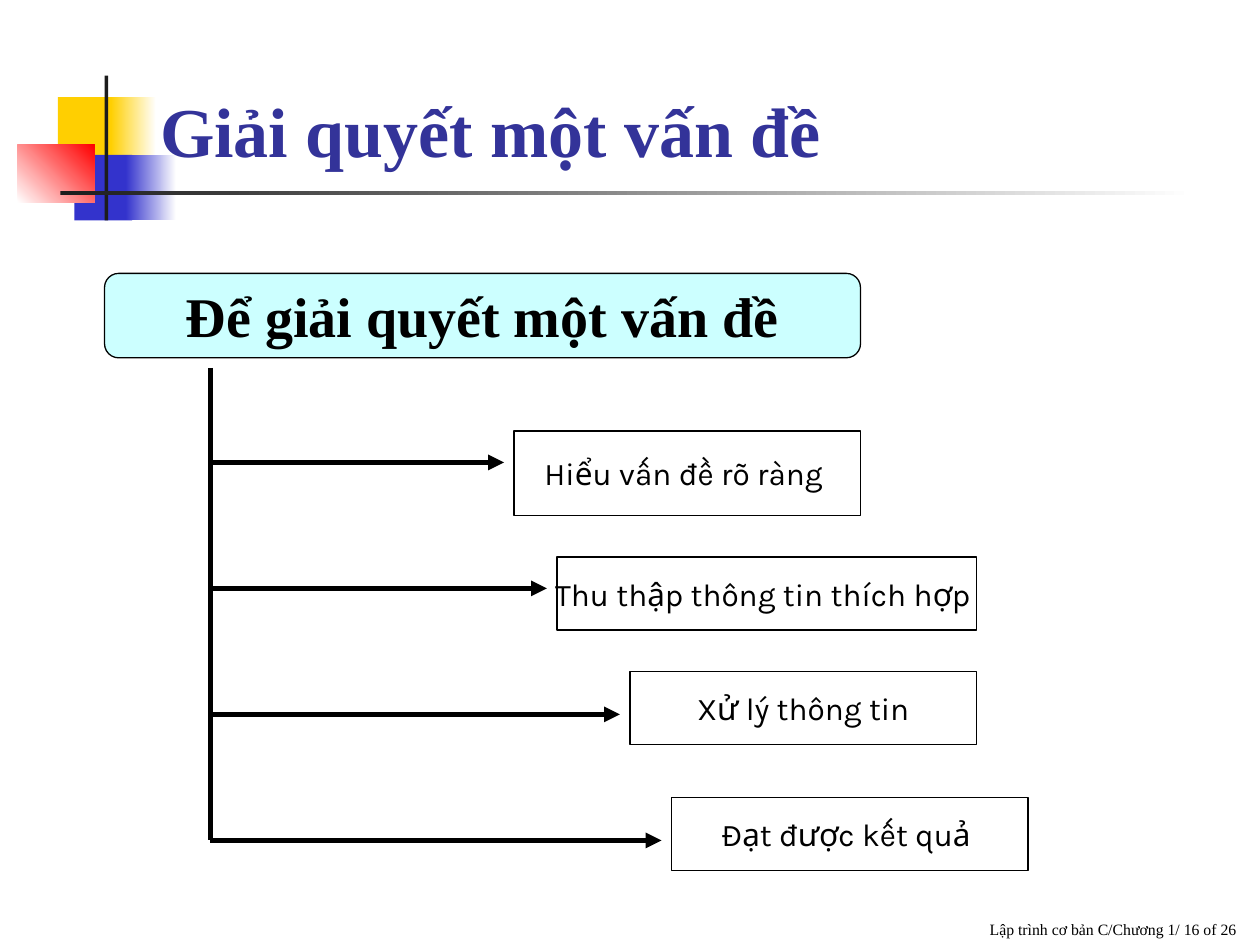
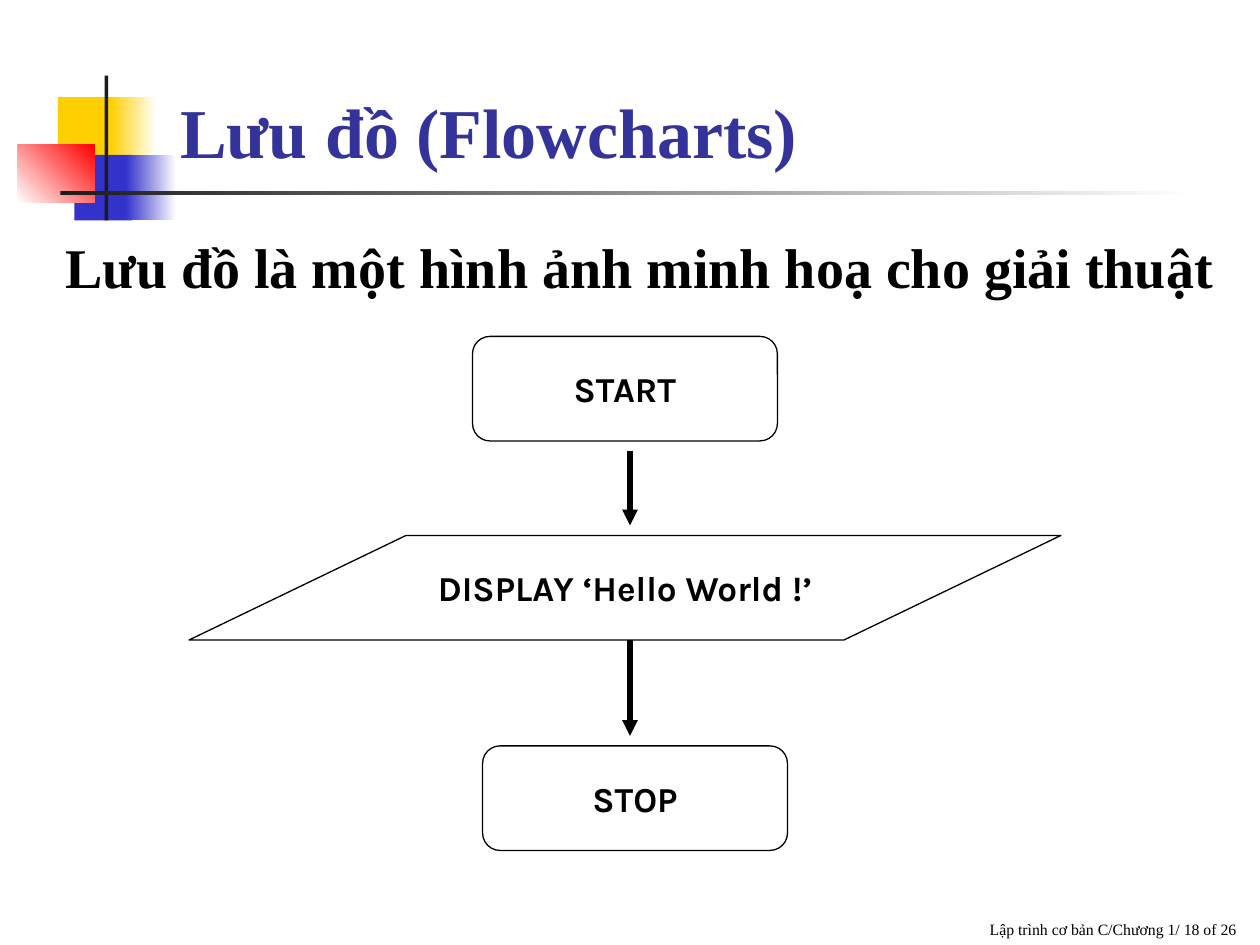
import pptx
import pptx.util
import pptx.dml.color
import pptx.enum.shapes
import pptx.enum.text
import pptx.oxml
import pptx.oxml.ns

Inches = pptx.util.Inches
Color = pptx.dml.color.RGBColor
Kind = pptx.enum.shapes.MSO_SHAPE
Align = pptx.enum.text.PP_ALIGN
Anchor = pptx.enum.text.MSO_ANCHOR

# Theme
BLACK = Color(0x00, 0x00, 0x00)
WHITE = Color(0xFF, 0xFF, 0xFF)
NAVY = Color(0x33, 0x33, 0x99)
BLUE = Color(0x33, 0x33, 0xCC)
GOLD = Color(0xFF, 0xCF, 0x01)
RED = Color(0xFF, 0x00, 0x00)
CYAN = Color(0xCC, 0xFF, 0xFF)
DARK = Color(0x1C, 0x1C, 0x1C)
SERIF = "Times New Roman"
SANS = "Karla"

# Corner motif: place, colours, angle of the blend
MOTIF = [
    ((0.46, 0.77, 0.48, 0.52), [GOLD], 0),
    ((0.88, 0.77, 0.36, 0.52), [GOLD, WHITE], 0),
    ((0.59, 1.23, 0.46, 0.52), [BLUE], 0),
    ((1.00, 1.23, 0.40, 0.52), [BLUE, WHITE], 0),
    ((0.14, 1.15, 0.61, 0.46), [WHITE, RED], 45),
    ((0.83, 0.60, 0.03, 1.15), [DARK], 0),
    ((0.48, 1.52, 9.00, 0.03), [DARK, WHITE], 0),
]
FOOTER = "Lập trình cơ bản C/Chương 1/ {} of 26"

# Slide 1: steps as text, left, top, width, height
SOLVE = "Giải quyết một vấn đề"
GOAL = "Ðể giải quyết một vấn đề"
STEPS = [
    ("Hiểu vấn đề rõ ràng ", 4.08, 3.42, 2.75, 0.67),
    ("Thu thập thông tin thích hợp ", 4.42, 4.42, 3.33, 0.58),
    ("Xử lý thông tin", 5.00, 5.33, 2.75, 0.58),
    ("Ðạt được kết quả ", 5.33, 6.33, 2.83, 0.58),
]
TRUNK, FIRST, PITCH, GAP = 1.67, 3.67, 1, 0.08

# Slide 2: nodes as text, kind, left, top, width, corner or slant
CHART = "Lưu đồ (Flowcharts)"
LEAD = "Lưu đồ là một hình ảnh minh hoạ cho giải thuật"
NODES = [
    ("START", Kind.ROUNDED_RECTANGLE, 3.75, 2.67, 2.42, 0.167),
    ("DISPLAY ‘Hello World !’", Kind.PARALLELOGRAM, 1.5, 4.25, 6.92, 2.075),
    ("STOP", Kind.ROUNDED_RECTANGLE, 3.83, 5.92, 2.42, 0.167),
]
NODE_H, AXIS = 0.83, 5


def write(shape, text, size, face, bold=False, color=BLACK,
          align=Align.LEFT, anchor=Anchor.TOP, wrap=True):
    frame = shape.text_frame
    frame.auto_size = pptx.enum.text.MSO_AUTO_SIZE.NONE
    frame.word_wrap = wrap
    frame.vertical_anchor = anchor
    para = frame.paragraphs[0]
    para.alignment = align
    run = para.add_run()
    run.text = text
    font = run.font
    font.size, font.name, font.bold = pptx.util.Pt(size), face, bold
    font.color.rgb = color


def label(slide, spot, text, size, face, **style):
    box = slide.shapes.add_textbox(*map(Inches, spot))
    write(box, text, size, face, **style)


def block(slide, kind, spot, colors, angle=0):
    shape = slide.shapes.add_shape(kind, *map(Inches, spot))
    shape.shadow.inherit = False
    shape.line.fill.background()
    if len(colors) == 1:
        shape.fill.solid()
        shape.fill.fore_color.rgb = colors[0]
    else:
        shape.fill.gradient()
        shape.fill.gradient_angle = angle
        for stop, color in zip(shape.fill.gradient_stops, colors):
            stop.color.rgb = color
    return shape


def node(slide, kind, spot, text, size, face, bold, fill=WHITE, adjust=None):
    shape = block(slide, kind, spot, [fill])
    shape.line.color.rgb = BLACK
    shape.line.width = pptx.util.Pt(0.75)
    if adjust is not None:
        shape.adjustments[0] = adjust
    write(shape, text, size, face, bold, align=Align.CENTER,
          anchor=Anchor.MIDDLE, wrap=False)


def link(slide, start, end, arrow=True):
    line = slide.shapes.add_connector(
        pptx.enum.shapes.MSO_CONNECTOR.STRAIGHT, *map(Inches, start + end))
    line.line.color.rgb = BLACK
    line.line.width = pptx.util.Pt(3)
    if arrow:
        tail = pptx.oxml.parse_xml(
            "<a:tailEnd %s type='triangle'/>" % pptx.oxml.ns.nsdecls("a"))
        line.line._get_or_add_ln().append(tail)
    line._element.spPr.append(pptx.oxml.parse_xml(
        "<a:effectLst %s/>" % pptx.oxml.ns.nsdecls("a")))


def start(deck, text, spot, number):
    """Add a slide with the shared motif, footer and title."""
    slide = deck.slides.add_slide(deck.slide_layouts[5])
    for place, colors, angle in MOTIF:
        block(slide, Kind.RECTANGLE, place, colors, angle)
    label(slide, (3.83, 7, 6.08, 0.5), FOOTER.format(number), 9, SERIF,
          align=Align.RIGHT, anchor=Anchor.BOTTOM)
    title = slide.shapes.title
    title.left, title.top, title.width, title.height = map(Inches, spot)
    write(title, text, 40, SERIF, True, NAVY, anchor=Anchor.BOTTOM)
    # Bring the title in front of the motif
    slide.shapes._spTree.append(title._element)
    return slide


def solve(deck):
    slide = start(deck, SOLVE, (1.17, 0.58, 8.58, 0.83), 16)
    node(slide, Kind.ROUNDED_RECTANGLE, (0.83, 2.17, 6, 0.67), GOAL, 32,
         SERIF, True, CYAN, 0.167)
    for i, (text, left, *rest) in enumerate(STEPS):
        y = FIRST + i * PITCH
        link(slide, (TRUNK, y), (left - GAP, y))
        node(slide, Kind.RECTANGLE, (left, *rest), text, 18, SANS, False)
    link(slide, (TRUNK, 2.92), (TRUNK, y), arrow=False)


def flow(deck):
    slide = start(deck, CHART, (1.33, 0.5, 8.42, 0.92), 18)
    label(slide, (0.42, 1.8, 9.33, 0.64), LEAD, 32, SERIF, bold=True)
    for text, kind, left, top, width, adjust in NODES:
        node(slide, kind, (left, top, width, NODE_H), text, 20, SANS, True,
             adjust=adjust)
    # The first arrow leaves a gap below its node, the second touches it
    for upper, lower, gap in zip(NODES, NODES[1:], (GAP, 0)):
        link(slide, (AXIS, upper[3] + NODE_H + gap), (AXIS, lower[3] - GAP))


def main():
    deck = pptx.Presentation()
    deck.slide_width, deck.slide_height = Inches(10), Inches(7.5)
    solve(deck)
    flow(deck)
    deck.save("out.pptx")


if __name__ == "__main__":
    main()
